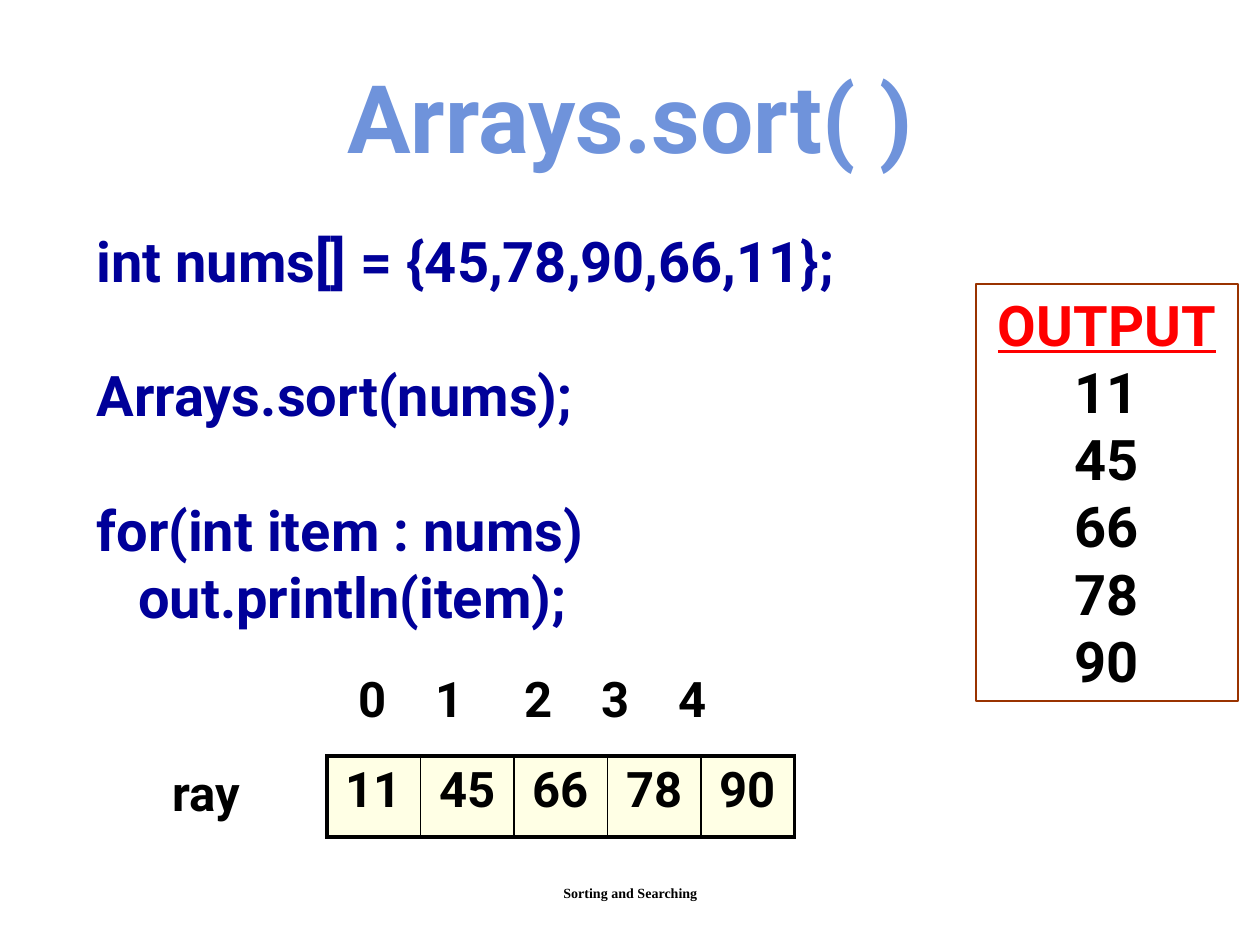
from lxml import etree
from pptx import Presentation
from pptx.dml.color import RGBColor
from pptx.enum.shapes import MSO_SHAPE
from pptx.enum.text import MSO_ANCHOR, MSO_AUTO_SIZE, PP_ALIGN
from pptx.oxml.ns import qn
from pptx.util import Pt

LEFT, CENTER = PP_ALIGN.LEFT, PP_ALIGN.CENTER
TOP, MIDDLE = MSO_ANCHOR.TOP, MSO_ANCHOR.MIDDLE
RECTANGLE = MSO_SHAPE.RECTANGLE
NO_AUTOFIT = MSO_AUTO_SIZE.NONE
TITLE_ONLY = 5
EMU_PER_INCH, PX_PER_INCH = 914400, 126

BLACK, NAVY, RED = "000000", "000099", "FF0000"
SKY, BROWN, CREAM = "6F93DB", "993300", "FFFFCC"


def px(length):
    return round(length * EMU_PER_INCH / PX_PER_INCH)


def rgb(color):
    return RGBColor.from_string(color)


class SlideBuilder:
    def __init__(self, presentation, font):
        self.font = font
        self.slide = presentation.slides.add_slide(
            presentation.slide_layouts[TITLE_ONLY])

    def format_font(self, font, color, **values):
        for name, value in {"name": self.font, "bold": True, **values}.items():
            setattr(font, name, value)
        font.color.rgb = rgb(color)

    def fill_frame(self, frame, lines, size, color, align=LEFT, anchor=TOP,
                   **values):
        """Put each line in its own paragraph and return the paragraphs."""
        frame.word_wrap = True
        frame.auto_size = NO_AUTOFIT
        frame.vertical_anchor = anchor
        for index, line in enumerate(lines):
            paragraph = frame.add_paragraph() if index else frame.paragraphs[0]
            paragraph.alignment = align
            run = paragraph.add_run()
            run.text = line
            self.format_font(run.font, color, size=Pt(size), **values)
        return frame.paragraphs

    def title(self, text, box, size, color):
        title = self.slide.shapes.title
        for name, value in zip(("left", "top", "width", "height"), box):
            setattr(title, name, px(value))
        self.fill_frame(title.text_frame, [text], size, color, CENTER)

    def text(self, lines, box, size, color, **values):
        label = self.slide.shapes.add_textbox(*map(px, box))
        return self.fill_frame(label.text_frame, lines, size, color, **values)

    def tabbed_text(self, words, box, size, color, stops):
        """Put the words on one line, each after the first at a tab stop."""
        paragraph = self.text(["\t".join(words)], box, size, color)[0]
        tabs = etree.SubElement(paragraph._p.get_or_add_pPr(), qn("a:tabLst"))
        for stop in stops:
            etree.SubElement(tabs, qn("a:tab"), pos=str(px(stop)), algn="l")

    def panel(self, lines, box, size, color, line_color):
        panel = self.slide.shapes.add_shape(RECTANGLE, *map(px, box))
        panel.shadow.inherit = False
        panel.fill.background()
        panel.line.color.rgb = rgb(line_color)
        panel.line.width = Pt(1)
        return self.fill_frame(panel.text_frame, lines, size, color, CENTER)

    def cell_borders(self, cell, widths):
        properties = cell._tc.get_or_add_tcPr()
        for index, (side, width) in enumerate(widths.items()):
            border = etree.Element(qn(f"a:ln{side}"), w=str(Pt(width)))
            fill = etree.SubElement(border, qn("a:solidFill"))
            etree.SubElement(fill, qn("a:srgbClr"), val=BLACK)
            properties.insert(index, border)

    def array_row(self, values, box, size, fill, inner=1, outer=2.25):
        """Draw the values as a one-row table with a heavier outer border."""
        table = self.slide.shapes.add_table(
            1, len(values), *map(px, box)).table
        table.first_row = table.horz_banding = False
        last = len(values) - 1
        for index, value in enumerate(values):
            cell = table.cell(0, index)
            cell.vertical_anchor = TOP
            paragraph = cell.text_frame.paragraphs[0]
            paragraph.alignment = CENTER
            run = paragraph.add_run()
            run.text = value
            self.format_font(run.font, BLACK, size=Pt(size))
            cell.fill.solid()
            cell.fill.fore_color.rgb = rgb(fill)
            shade = cell._tc.tcPr.find(".//" + qn("a:srgbClr"))
            etree.SubElement(shade, qn("a:alpha"), val="50000")
            self.cell_borders(cell, {
                "L": outer if index == 0 else inner,
                "R": outer if index == last else inner,
                "T": outer, "B": outer})


def main():
    presentation = Presentation()
    presentation.slide_width, presentation.slide_height = px(1260), px(945)
    builder = SlideBuilder(presentation, "Roboto")
    sorted_nums = ["11", "45", "66", "78", "90"]

    builder.title("Arrays.sort( )", (0, 53, 1260, 127), 54, SKY)
    builder.text(["Sorting and Searching"], (431, 861, 399, 63), 8, BLACK,
                 align=CENTER, anchor=MIDDLE, name="Times New Roman")

    code = builder.text(
        ["int nums[] = {45,78,90,66,11};",
         "Arrays.sort(nums);",
         "for(int item : nums)",
         "   out.println(item);"],
        (84, 220, 919, 416), 32, NAVY)
    for statement in code[1:3]:
        statement.space_before = Pt(38.4)

    output = builder.panel(["OUTPUT", *sorted_nums], (976, 284, 262, 417),
                           32, BLACK, BROWN)
    builder.format_font(output[0].runs[0].font, RED, underline=True)

    builder.tabbed_text("01234", (346, 662, 630, 72), 28, BLACK,
                        stops=(77, 166, 243, 320))
    builder.text(["ray"], (160, 756, 105, 72), 28, BLACK)
    builder.array_row(sorted_nums, (327, 756, 468, 81), 28, CREAM)

    presentation.save("out.pptx")


if __name__ == "__main__":
    main()
